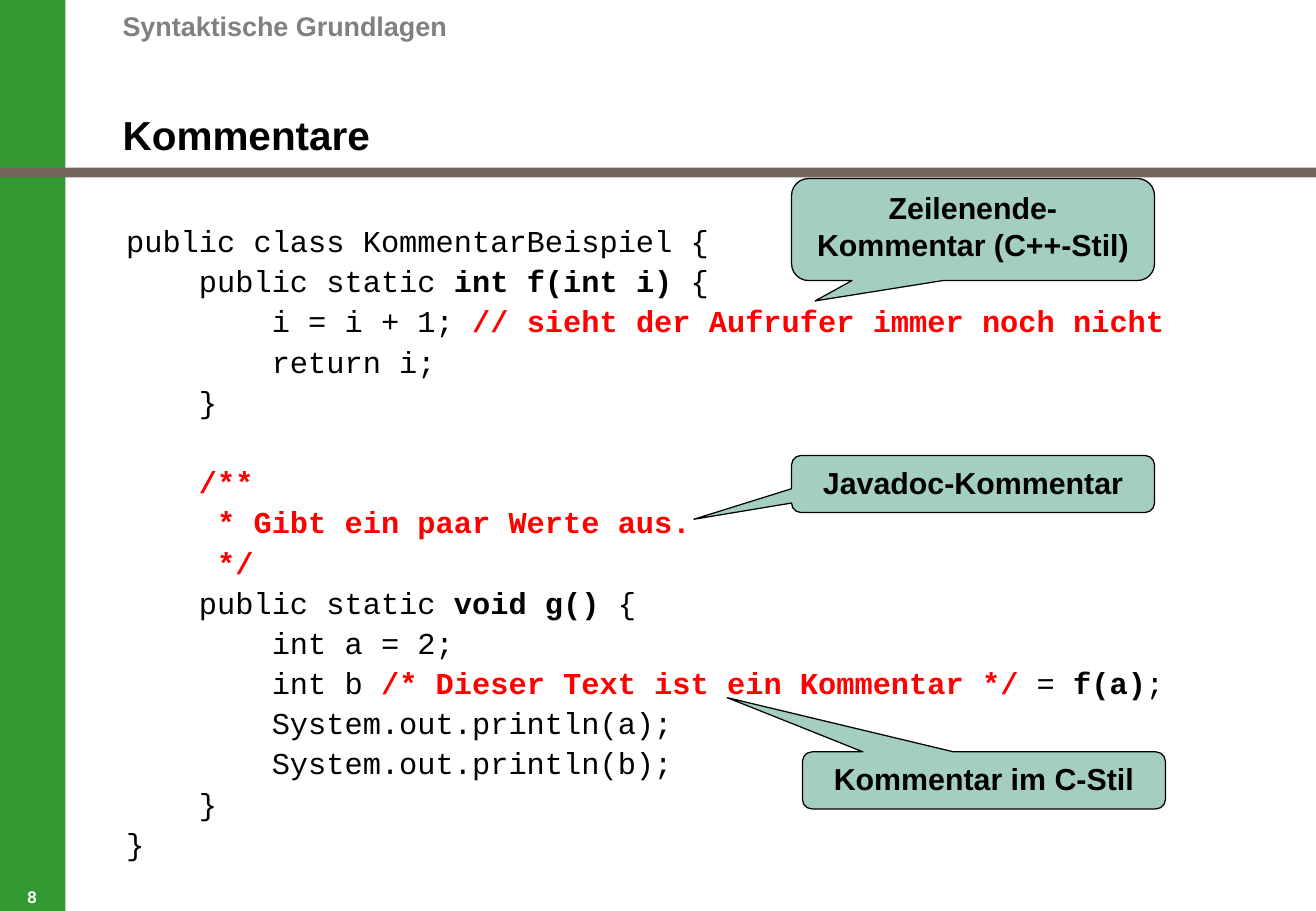
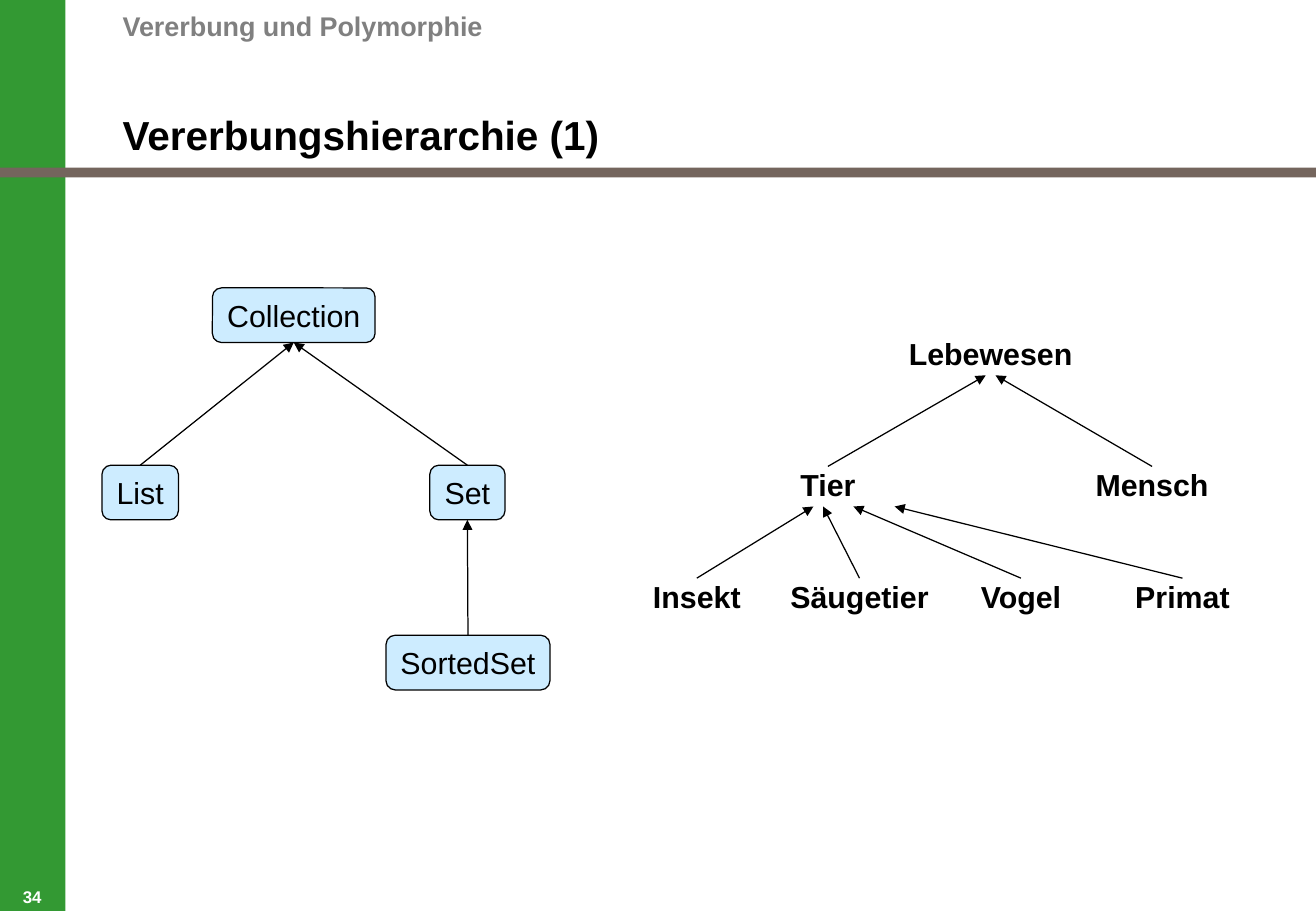
from dataclasses import dataclass
from enum import Enum

from lxml.etree import SubElement
from pptx import Presentation
from pptx.dml.color import RGBColor
from pptx.enum.shapes import MSO_CONNECTOR, MSO_SHAPE
from pptx.enum.text import MSO_ANCHOR, PP_ALIGN
from pptx.oxml.ns import qn
from pptx.presentation import Presentation as Deck
from pptx.shapes.autoshape import Shape
from pptx.slide import Slide
from pptx.text.text import Font, TextFrame
from pptx.util import Inches, Pt

GREEN = RGBColor(0x33, 0x99, 0x33)
BROWN = RGBColor(0x74, 0x65, 0x5D)
GRAY = RGBColor(0x80, 0x80, 0x80)
BLACK = RGBColor(0x00, 0x00, 0x00)
WHITE = RGBColor(0xFF, 0xFF, 0xFF)
RED = RGBColor(0xFF, 0x00, 0x00)
MINT = RGBColor(0xA4, 0xCE, 0xC1)
SKY = RGBColor(0xCD, 0xEC, 0xFF)

TEXT_FONT = "Arial"
CODE_FONT = "Courier New"
LINE_WIDTH = Pt(0.75)
CORNER = 0.167
CODE_GAP = 2.2
CODE_LINE = 23.9
ARROW_GAP = Inches(0.03)
TOP_SITE, BOTTOM_SITE = 0, 2


class Style(Enum):
    """Look of a piece of code: colour and weight."""

    PLAIN = (BLACK, False)
    BOLD = (BLACK, True)
    COMMENT = (RED, True)


@dataclass(frozen=True)
class Box:
    """Place of a shape in inches."""

    left: float
    top: float
    width: float
    height: float

    def lengths(self) -> tuple[Inches, Inches, Inches, Inches]:
        """Return the place as lengths."""
        return Inches(self.left), Inches(self.top), Inches(self.width), Inches(self.height)


@dataclass(frozen=True)
class Code:
    """Piece of a code line."""

    text: str
    style: Style = Style.PLAIN


@dataclass(frozen=True)
class Callout:
    """Rounded speech bubble with the relative position of its tip."""

    text: str
    box: Box
    tip: tuple[float, float]


@dataclass(frozen=True)
class Node:
    """Class in an inheritance tree."""

    text: str
    box: Box
    framed: bool = False


@dataclass(frozen=True)
class Inheritance:
    """Arrow from a child to its parent, beside the parent's middle by an offset."""

    child: str
    parent: str
    offset: float = 0


LISTING = (
    (Code("public class KommentarBeispiel {"),),
    (Code("    public static "), Code("int f(int i)", Style.BOLD), Code(" {")),
    (Code("        i = i + 1; "), Code("// sieht der Aufrufer immer noch nicht", Style.COMMENT)),
    (Code("        return i;"),),
    (Code("    }"),),
    (),
    (Code("    /**", Style.COMMENT),),
    (Code("     * Gibt ein paar Werte aus.", Style.COMMENT),),
    (Code("     */", Style.COMMENT),),
    (Code("    public static "), Code("void g()", Style.BOLD), Code(" {")),
    (Code("        int a = 2;"),),
    (
        Code("        int b "),
        Code("/* Dieser Text ist ein Kommentar */", Style.COMMENT),
        Code(" = "),
        Code("f(a)", Style.BOLD),
        Code(";"),
    ),
    (Code("        System.out.println(a);"),),
    (Code("        System.out.println(b);"),),
    (Code("    }"),),
    (Code("}"),),
)

CALLOUTS = (
    Callout("Zeilenende-Kommentar (C++-Stil)", Box(6.52, 1.47, 2.99, 0.84), (-0.435, 0.7)),
    Callout("Javadoc-Kommentar", Box(6.52, 3.75, 2.99, 0.47), (-0.769, 0.618)),
    Callout("Kommentar im C-Stil", Box(6.61, 6.19, 2.99, 0.47), (-0.707, -1.449)),
)

NODES = (
    Node("Collection", Box(1.75, 2.37, 1.34, 0.45), True),
    Node("List", Box(0.84, 3.83, 0.63, 0.45), True),
    Node("Set", Box(3.54, 3.83, 0.62, 0.45), True),
    Node("SortedSet", Box(3.18, 5.23, 1.35, 0.45), True),
    Node("Lebewesen", Box(7.37, 2.76, 1.58, 0.3)),
    Node("Tier", Box(6.03, 3.84, 1.58, 0.3)),
    Node("Mensch", Box(8.7, 3.84, 1.58, 0.3)),
    Node("Insekt", Box(5.28, 4.76, 0.92, 0.3)),
    Node("Säugetier", Box(6.37, 4.76, 1.42, 0.3)),
    Node("Vogel", Box(7.95, 4.76, 0.92, 0.3)),
    Node("Primat", Box(8.95, 4.76, 1.58, 0.3)),
)

INHERITANCES = (
    Inheritance("List", "Collection"),
    Inheritance("Set", "Collection"),
    Inheritance("SortedSet", "Set"),
    Inheritance("Tier", "Lebewesen", -0.04),
    Inheritance("Mensch", "Lebewesen", 0.04),
    Inheritance("Insekt", "Tier", -0.12),
    Inheritance("Säugetier", "Tier", -0.04),
    Inheritance("Vogel", "Tier", 0.21),
    Inheritance("Primat", "Tier", 0.55),
)


def format_font(font: Font, size: float, color: RGBColor, bold: bool, name: str = TEXT_FONT) -> None:
    """Set name, size, colour and weight of a font."""
    font.name = name
    font.size = Pt(size)
    font.bold = bold
    font.color.rgb = color


def set_text(
    frame: TextFrame,
    text: str,
    size: float,
    color: RGBColor = BLACK,
    bold: bool = True,
    align: PP_ALIGN = PP_ALIGN.CENTER,
    anchor: MSO_ANCHOR = MSO_ANCHOR.MIDDLE,
    wrap: bool = True,
    margins: bool = False,
) -> None:
    """Fill a text frame with one formatted paragraph."""
    frame.text = text
    frame.word_wrap = wrap
    frame.vertical_anchor = anchor
    frame.margin_left = frame.margin_right = Inches(0.1 if margins else 0)
    frame.margin_top = frame.margin_bottom = Inches(0.05 if margins else 0)
    paragraph = frame.paragraphs[0]
    paragraph.alignment = align
    for run in paragraph.runs:
        format_font(run.font, size, color, bold)


def add_filled_shape(
    slide: Slide, kind: MSO_SHAPE, box: Box, fill: RGBColor, outlined: bool = True
) -> Shape:
    """Add a flat shape with a solid fill."""
    shape = slide.shapes.add_shape(kind, *box.lengths())
    shape.shadow.inherit = False
    shape.fill.solid()
    shape.fill.fore_color.rgb = fill
    if outlined:
        shape.line.color.rgb = BLACK
        shape.line.width = LINE_WIDTH
    else:
        shape.line.fill.background()
    return shape


def add_bands_to_layout(slide: Slide) -> None:
    """Place the side bar and the title rule on the layout of the slide."""
    for box, color in ((Box(0, 0, 0.54, 7.5), GREEN), (Box(0, 1.38, 10.84, 0.08), BROWN)):
        band = add_filled_shape(slide, MSO_SHAPE.RECTANGLE, box, color, outlined=False)
        slide.slide_layout.shapes.element.append(band.element)


def add_titled_slide(presentation: Deck, chapter: str, title: str, number: int) -> Slide:
    """Add a slide with chapter, title and page number."""
    slide = presentation.slides.add_slide(presentation.slide_layouts[5])
    heading = slide.shapes.title
    heading.left, heading.top, heading.width, heading.height = Box(1.01, 0.45, 9.62, 0.86).lengths()
    set_text(heading.text_frame, title, 24, align=PP_ALIGN.LEFT, anchor=MSO_ANCHOR.BOTTOM)
    chapter_box = slide.shapes.add_textbox(*Box(1.01, 0.02, 8.25, 0.39).lengths())
    set_text(chapter_box.text_frame, chapter, 16, GRAY, align=PP_ALIGN.LEFT)
    number_box = slide.shapes.add_textbox(*Box(0, 7.3, 0.53, 0.17).lengths())
    set_text(number_box.text_frame, str(number), 10, WHITE, anchor=MSO_ANCHOR.BOTTOM)
    return slide


def add_listing(slide: Slide, lines: tuple[tuple[Code, ...], ...], box: Box) -> None:
    """Write code lines, turning an empty line into space before the next one."""
    frame = slide.shapes.add_textbox(*box.lengths()).text_frame
    frame.word_wrap = True
    paragraph = frame.paragraphs[0]
    space = 0.0
    for index, line in enumerate(lines):
        if not line:
            space += CODE_LINE
            continue
        if index:
            paragraph = frame.add_paragraph()
        paragraph.space_before = Pt(space)
        for code in line:
            run = paragraph.add_run()
            run.text = code.text
            color, bold = code.style.value
            format_font(run.font, 18, color, bold, CODE_FONT)
        space = CODE_GAP


def add_callout(slide: Slide, callout: Callout) -> None:
    """Add a speech bubble."""
    shape = add_filled_shape(slide, MSO_SHAPE.ROUNDED_RECTANGULAR_CALLOUT, callout.box, MINT)
    for index, value in enumerate((*callout.tip, CORNER)):
        shape.adjustments[index] = value
    set_text(shape.text_frame, callout.text, 18, anchor=MSO_ANCHOR.TOP, margins=True)


def add_node(slide: Slide, node: Node) -> Shape:
    """Add a class as a framed box or as a bold label."""
    if node.framed:
        shape = add_filled_shape(slide, MSO_SHAPE.ROUNDED_RECTANGLE, node.box, SKY)
        shape.adjustments[0] = CORNER
    else:
        shape = slide.shapes.add_textbox(*node.box.lengths())
    set_text(
        shape.text_frame, node.text, 18, bold=not node.framed, wrap=not node.framed, margins=node.framed
    )
    return shape


def add_inheritance(slide: Slide, child: Shape, parent: Shape, offset: float) -> None:
    """Draw an arrow from the top of the child to the bottom of the parent."""
    end_x = parent.left + parent.width // 2 + Inches(offset)
    end_y = parent.top + parent.height + ARROW_GAP
    connector = slide.shapes.add_connector(
        MSO_CONNECTOR.STRAIGHT, child.left + child.width // 2, child.top, end_x, end_y
    )
    connector.begin_connect(child, TOP_SITE)
    if not offset:
        connector.end_connect(parent, BOTTOM_SITE)
    connector.line.color.rgb = BLACK
    connector.line.width = LINE_WIDTH
    properties = connector.element.spPr
    SubElement(properties.find(qn("a:ln")), qn("a:tailEnd"), type="triangle")
    SubElement(properties, qn("a:effectLst"))


def main() -> None:
    """Build and save the presentation."""
    presentation = Presentation()
    presentation.slide_width = Inches(10.84)
    presentation.slide_height = Inches(7.5)

    comments = add_titled_slide(presentation, "Syntaktische Grundlagen", "Kommentare", 8)
    add_bands_to_layout(comments)
    add_listing(comments, LISTING, Box(0.94, 1.78, 9.12, 5.37))
    for callout in CALLOUTS:
        add_callout(comments, callout)

    hierarchy = add_titled_slide(
        presentation, "Vererbung und Polymorphie", "Vererbungshierarchie (1)", 34
    )
    shapes = {node.text: add_node(hierarchy, node) for node in NODES}
    for arrow in INHERITANCES:
        add_inheritance(hierarchy, shapes[arrow.child], shapes[arrow.parent], arrow.offset)

    presentation.save("out.pptx")


if __name__ == "__main__":
    main()
